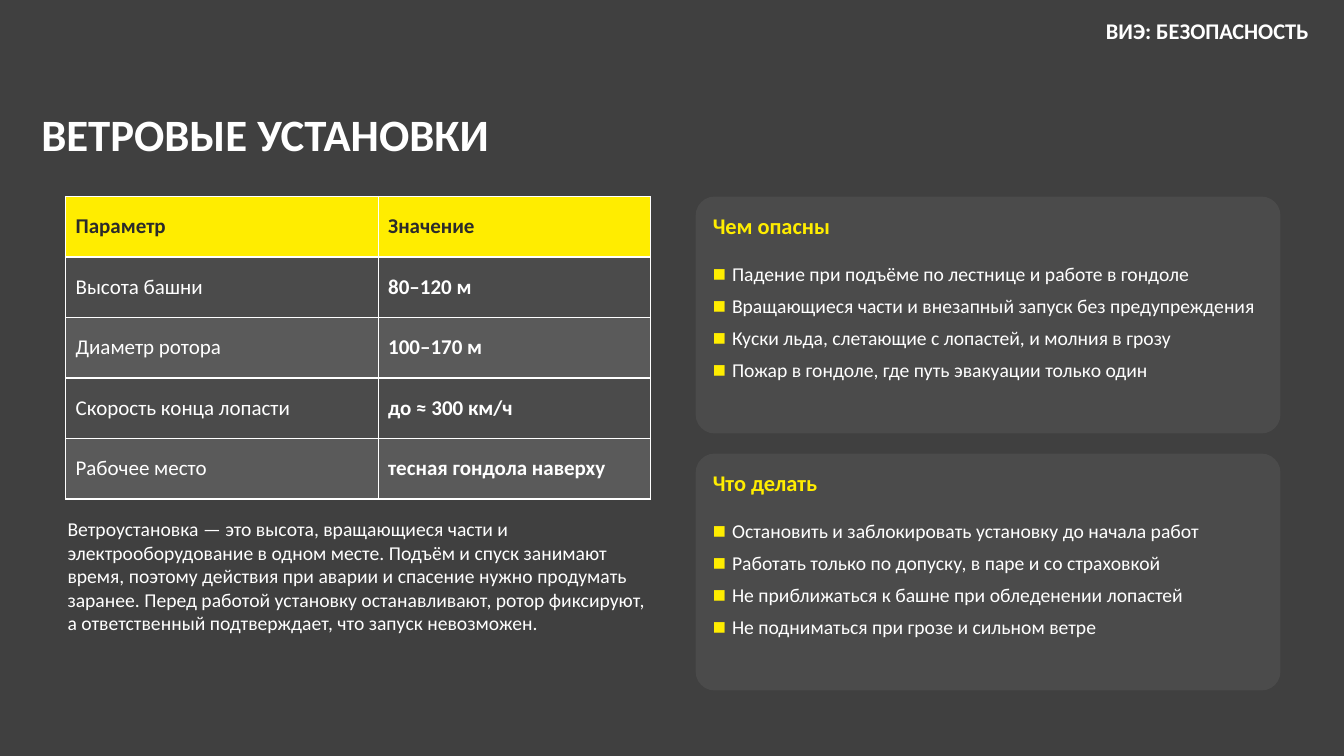
from lxml.etree import SubElement
from pptx import Presentation
from pptx.dml.color import RGBColor
from pptx.enum.shapes import MSO_SHAPE
from pptx.enum.text import MSO_ANCHOR, MSO_AUTO_SIZE, PP_ALIGN
from pptx.oxml.ns import qn
from pptx.util import Inches, Pt

# Content
TITLE = "ВЕТРОВЫЕ УСТАНОВКИ"
SECTION = "ВИЭ: БЕЗОПАСНОСТЬ"
PARAMETERS = [
    ("Параметр", "Значение"),
    ("Высота башни", "80–120 м"),
    ("Диаметр ротора", "100–170 м"),
    ("Скорость конца лопасти", "до ≈ 300 км/ч"),
    ("Рабочее место", "тесная гондола наверху"),
]
SUMMARY = (
    "Ветроустановка — это высота, вращающиеся части и электрооборудование в одном месте. "
    "Подъём и спуск занимают время, поэтому действия при аварии и спасение нужно продумать "
    "заранее. Перед работой установку останавливают, ротор фиксируют, а ответственный "
    "подтверждает, что запуск невозможен."
)
CARDS = [
    ("Чем опасны", [
        "Падение при подъёме по лестнице и работе в гондоле",
        "Вращающиеся части и внезапный запуск без предупреждения",
        "Куски льда, слетающие с лопастей, и молния в грозу",
        "Пожар в гондоле, где путь эвакуации только один",
    ]),
    ("Что делать", [
        "Остановить и заблокировать установку до начала работ",
        "Работать только по допуску, в паре и со страховкой",
        "Не приближаться к башне при обледенении лопастей",
        "Не подниматься при грозе и сильном ветре",
    ]),
]

COLORS = {
    "background": "404040", "card": "4B4B4B", "band": "5A5A5A",
    "accent": "FFED00", "dark": "2B2B2B", "white": "FFFFFF",
}
FONT = "Calibri"

# Layout, in inches
COLUMN_TOP, COLUMN_WIDTH = 1.95, 5.8
TABLE_LEFT, TABLE_COLUMNS, ROW_HEIGHT = 0.65, (3.1, 2.7), 0.6
CARD_LEFT, CARD_HEIGHT, CARD_GAP, CARD_INSET = 6.9, 2.35, 0.2, 0.15
BULLET_INDENT = 0.19


def color(name):
    return RGBColor.from_string(COLORS[name])


def paint(shape, name):
    shape.fill.solid()
    shape.fill.fore_color.rgb = color(name)


def style(paragraph, size, name="white", bold=False, align=PP_ALIGN.LEFT):
    paragraph.alignment = align
    for run in paragraph.runs:
        run.font.name, run.font.size, run.font.bold = FONT, Pt(size), bold
        run.font.color.rgb = color(name)


def place(shape, left, top, width, height):
    shape.left, shape.top = Inches(left), Inches(top)
    shape.width, shape.height = Inches(width), Inches(height)


def prepare(frame, tight=True):
    frame.word_wrap = True
    frame.auto_size = MSO_AUTO_SIZE.NONE
    frame.vertical_anchor = MSO_ANCHOR.TOP
    if tight:
        frame.margin_left = frame.margin_right = Inches(0.02)
        frame.margin_top = frame.margin_bottom = Inches(0.03)


def add_text(text, box, size, tight=True, **look):
    label = slide.shapes.add_textbox(*map(Inches, box))
    prepare(label.text_frame, tight)
    label.text_frame.text = text
    style(label.text_frame.paragraphs[0], size, **look)


def add_bullet(paragraph):
    properties = paragraph._p.get_or_add_pPr()
    properties.set("marL", str(Inches(BULLET_INDENT)))
    properties.set("indent", str(-Inches(BULLET_INDENT)))
    bullet_color = SubElement(properties, qn("a:buClr"))
    SubElement(bullet_color, qn("a:srgbClr"), val=COLORS["accent"])
    SubElement(properties, qn("a:buSzPct"), val="71000")
    SubElement(properties, qn("a:buFont"), typeface=FONT)
    SubElement(properties, qn("a:buChar"), char="■")


presentation = Presentation()
presentation.slide_width, presentation.slide_height = Inches(13.33), Inches(7.5)
slide = presentation.slides.add_slide(presentation.slide_layouts[3])  # Two Content
paint(slide.background, "background")

# Title and section label
title = slide.shapes.title
place(title, 0.31, 1.01, 11.56, 0.77)
prepare(title.text_frame, tight=False)
title.text_frame.text = TITLE
style(title.text_frame.paragraphs[0], 32, bold=True)
add_text(SECTION, (9.28, 0.12, 3.8, 0.37), 16, tight=False, bold=True, align=PP_ALIGN.RIGHT)

# Parameter table
table = slide.shapes.add_table(
    len(PARAMETERS), len(TABLE_COLUMNS), Inches(TABLE_LEFT), Inches(COLUMN_TOP),
    Inches(COLUMN_WIDTH), Inches(ROW_HEIGHT * len(PARAMETERS))).table
for column, width in zip(table.columns, TABLE_COLUMNS):
    column.width = Inches(width)
for row, values in enumerate(PARAMETERS):
    header = row == 0
    row_fill = "accent" if header else ("band", "card")[row % 2]
    for column, value in enumerate(values):
        cell = table.cell(row, column)
        paint(cell, row_fill)
        cell.vertical_anchor = MSO_ANCHOR.MIDDLE
        cell.text_frame.text = value
        style(cell.text_frame.paragraphs[0], 15, "dark" if header else "white",
              bold=header or column == 1)

# Summary under the table
add_text(SUMMARY, (TABLE_LEFT, 5.1, COLUMN_WIDTH, 1.7), 14)

# Cards with bulleted lists
for number, (heading, points) in enumerate(CARDS):
    top = COLUMN_TOP + number * (CARD_HEIGHT + CARD_GAP)
    left, width = CARD_LEFT + CARD_INSET, COLUMN_WIDTH - 2 * CARD_INSET
    card = slide.shapes.add_shape(
        MSO_SHAPE.ROUNDED_RECTANGLE,
        *map(Inches, (CARD_LEFT, top, COLUMN_WIDTH, CARD_HEIGHT)))
    card.adjustments[0] = 0.08
    card.shadow.inherit = False
    paint(card, "card")
    card.line.fill.background()
    add_text(heading, (left, top + 0.12, width, 0.4), 16, name="accent", bold=True)

    body = slide.placeholders[number + 1]
    slide.shapes._spTree.append(body._element)  # bring the list in front of its card
    place(body, left, top + 0.62, width, 1.65)
    prepare(body.text_frame)
    body.text_frame.text = "\n".join(points)
    for paragraph in body.text_frame.paragraphs:
        paragraph.space_before, paragraph.space_after = Pt(0), Pt(6)
        add_bullet(paragraph)
        style(paragraph, 14)

presentation.save("out.pptx")
